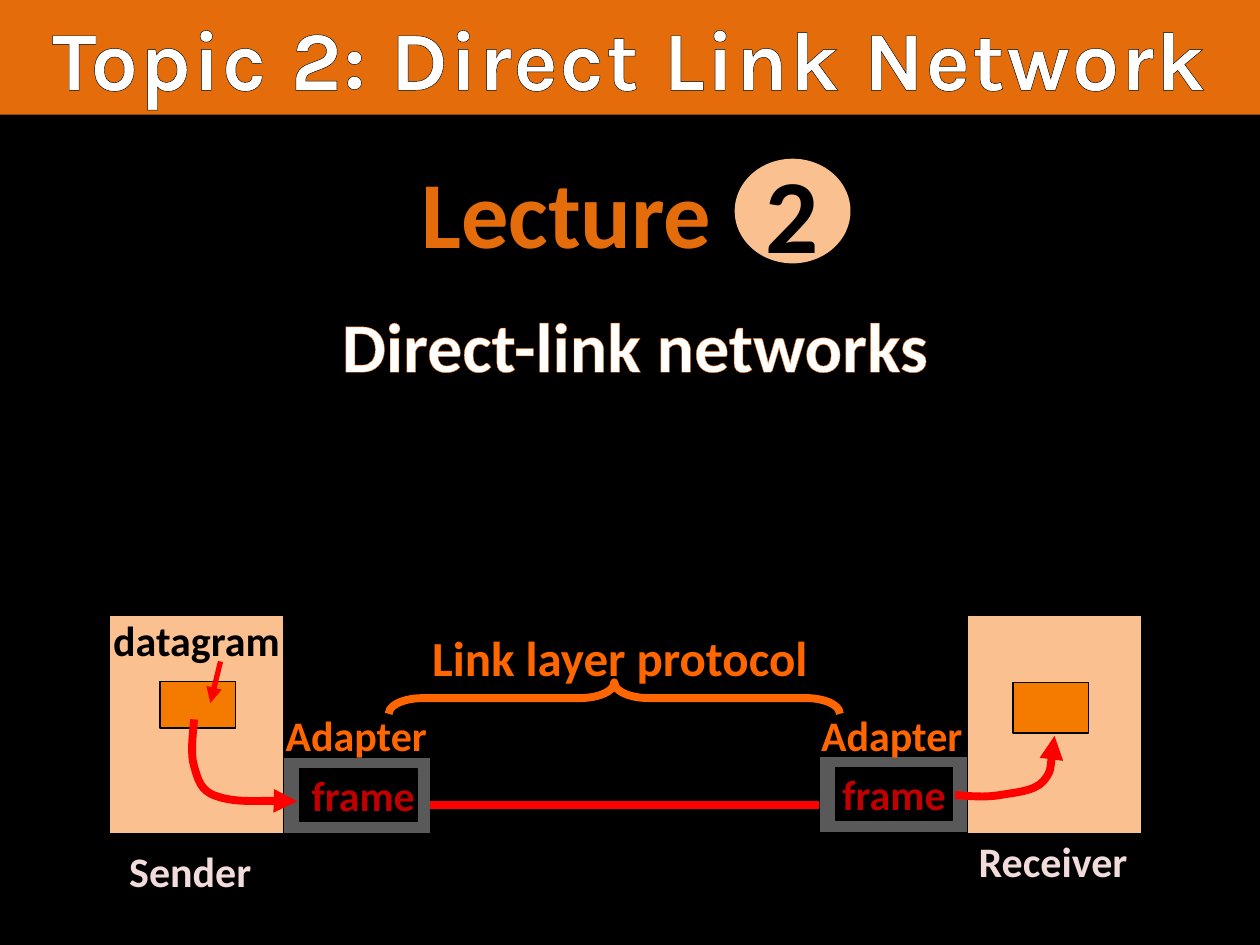
from dataclasses import dataclass

from lxml import etree
from pptx import Presentation
from pptx.dml.color import RGBColor
from pptx.enum.shapes import MSO_CONNECTOR, MSO_SHAPE
from pptx.enum.text import MSO_ANCHOR, MSO_AUTO_SIZE, PP_ALIGN
from pptx.oxml.ns import qn
from pptx.util import Pt

RECT, OVAL, BRACE = MSO_SHAPE.RECTANGLE, MSO_SHAPE.OVAL, MSO_SHAPE.LEFT_BRACE
LEFT, CENTER = PP_ALIGN.LEFT, PP_ALIGN.CENTER
TOP, MIDDLE = MSO_ANCHOR.TOP, MSO_ANCHOR.MIDDLE
STRAIGHT = MSO_CONNECTOR.STRAIGHT

BLACK, WHITE, RED, DARK_RED = "000000", "FFFFFF", "FF0000", "C00000"
ORANGE, LABEL_ORANGE, PACKET_ORANGE = "E46C0A", "FF6600", "F47A00"
PEACH, PINK, GRAY = "FAC090", "F2DCDB", "595959"


@dataclass
class Box:
    x: float
    y: float
    w: float
    h: float

    def lengths(self) -> list:
        return [Pt(v) for v in (self.x, self.y, self.w, self.h)]


@dataclass
class Label:
    text: str
    box: Box
    color: str
    size: float = 24
    align: PP_ALIGN = LEFT
    wrap: bool = False
    outline: str = ""


@dataclass
class Station:
    host: Box
    packet: Box
    adapter: Box
    frame: Box
    frame_text: str
    route: list


def rgb(color: str) -> RGBColor:
    return RGBColor.from_string(color)


def write(sp, text, color, size=24, font="Calibri", align=CENTER,
          anchor=MIDDLE, wrap=False, outline="", spacing=0):
    tf = sp.text_frame
    tf.auto_size = MSO_AUTO_SIZE.NONE
    tf.word_wrap = wrap
    tf.vertical_anchor = anchor
    p = tf.paragraphs[0]
    p.alignment = align
    r = p.add_run()
    r.text = text
    r.font.name, r.font.size, r.font.bold = font, Pt(size), True
    r.font.color.rgb = rgb(color)
    rpr = r._r.get_or_add_rPr()
    if spacing:
        rpr.set("spc", str(int(spacing * 100)))
    if outline:
        ln = etree.Element(qn("a:ln"), w=str(Pt(0.75)))
        fill = etree.SubElement(ln, qn("a:solidFill"))
        etree.SubElement(fill, qn("a:srgbClr"), val=outline)
        rpr.insert(0, ln)


def paint(sp, fill="", line="", width=0.75):
    sp.shadow.inherit = False
    if fill:
        sp.fill.solid()
        sp.fill.fore_color.rgb = rgb(fill)
    else:
        sp.fill.background()
    if line:
        sp.line.color.rgb = rgb(line)
        sp.line.width = Pt(width)
    else:
        sp.line.fill.background()


def add_box(s, box: Box, fill="", line="", width=0.75, kind=RECT):
    sp = s.shapes.add_shape(kind, *box.lengths())
    paint(sp, fill, line, width)
    return sp


def add_label(s, label: Label):
    sp = s.shapes.add_textbox(*label.box.lengths())
    write(sp, label.text, label.color, label.size, align=label.align,
          anchor=TOP, wrap=label.wrap, outline=label.outline)


def add_arrowhead(sp):
    etree.SubElement(sp.line._get_or_add_ln(), qn("a:tailEnd"), type="triangle")


def add_line(s, start, end, width, arrow=False):
    sp = s.shapes.add_connector(STRAIGHT, *[Pt(v) for v in (*start, *end)])
    sp.line.color.rgb = rgb(RED)
    sp.line.width = Pt(width)
    if arrow:
        add_arrowhead(sp)
    etree.SubElement(sp._element.spPr, qn("a:effectLst"))


def add_curved_arrow(s, points: list):
    """Draw cubic curves through a start point and triples of points."""
    start, *rest = [(Pt(x), Pt(y)) for x, y in points]
    builder = s.shapes.build_freeform(*start)
    builder.add_line_segments(rest, close=False)
    sp = builder.convert_to_shape()
    paint(sp, line=RED, width=4.5)
    add_arrowhead(sp)
    path = sp._element.find(".//" + qn("a:path"))
    segments = path.findall(qn("a:lnTo"))
    for i in range(0, len(segments), 3):
        curve = etree.SubElement(path, qn("a:cubicBezTo"))
        for segment in segments[i:i + 3]:
            curve.append(segment[0])
            path.remove(segment)


def add_station(s, st: Station):
    add_box(s, st.adapter, GRAY, BLACK)
    write(add_box(s, st.frame, BLACK, BLACK), st.frame_text, DARK_RED)
    add_box(s, st.host, PEACH, BLACK)
    add_box(s, st.packet, PACKET_ORANGE, BLACK)
    add_curved_arrow(s, st.route)


STATIONS = [
    Station(Box(62.6, 351.4, 99.4, 125.3), Box(91.4, 389.5, 43.2, 26.6),
            Box(161.3, 432.7, 85, 43.9), Box(171.4, 439.2, 67, 30.2), " frame",
            [(110.9, 411.1), (110.2, 420.5), (108.7, 430.6), (110.9, 437.8),
             (113, 445), (114.5, 452.2), (123.8, 455),
             (133.9, 458.6), (162.7, 457.2), (169.9, 457.9)]),
    Station(Box(553, 351.4, 99.4, 125.3), Box(578.9, 390.2, 43.2, 28.8),
            Box(468, 432, 85, 43.9), Box(477.4, 438.5, 67, 30.2), "frame",
            [(545.8, 454.3), (554.4, 455), (563, 455.8), (571.7, 454.3),
             (579.6, 452.9), (591.1, 452.2), (596.2, 446.4),
             (601.2, 440.6), (601.9, 424.8), (602.6, 420.5)]),
]

LABELS = [
    Label("Direct-link networks", Box(5.8, 169.2, 714.2, 55.4), WHITE, 40,
          CENTER, True, ORANGE),
    Label("Lecture", Box(5.8, 84.2, 635.8, 72.7), ORANGE, 54, CENTER, True),
    Label("Sender", Box(66.2, 479.5, 85, 36), PINK, align=CENTER),
    Label("Receiver", Box(552.2, 473.8, 100, 36), PINK),
    Label("datagram", Box(57.6, 347.8, 110.9, 36), BLACK),
    Label("Adapter", Box(156.2, 401.8, 95.8, 36), LABEL_ORANGE),
    Label("Adapter", Box(462.2, 401.8, 95.8, 36), LABEL_ORANGE),
    Label("Link layer protocol", Box(239.8, 355, 231.8, 41), LABEL_ORANGE, 28),
]


def main():
    prs = Presentation()
    prs.slide_width, prs.slide_height = Pt(720), Pt(540)
    s = prs.slides.add_slide(prs.slide_layouts[5])
    s.background.fill.solid()
    s.background.fill.fore_color.rgb = rgb(BLACK)

    title = s.shapes.title
    title.left, title.top, title.width, title.height = Box(0, 0, 720, 65.5).lengths()
    title.fill.solid()
    title.fill.fore_color.rgb = rgb(ORANGE)
    write(title, "Topic 2: Direct Link Network", WHITE, 48, "Karla",
          anchor=TOP, wrap=True, outline=BLACK, spacing=1)

    number = add_box(s, Box(419.8, 90.7, 66.2, 59.8), PEACH, kind=OVAL)
    write(number, "2", BLACK, 60, wrap=True)

    for station in STATIONS:
        add_station(s, station)
    add_line(s, (245.5, 460.1), (468, 460.1), 4.5)
    for label in LABELS:
        add_label(s, label)
    add_line(s, (126, 378), (120.2, 401.8), 3, arrow=True)

    brace = add_box(s, Box(342, 270, 18, 257.8), line=LABEL_ORANGE, width=4.5,
                    kind=BRACE)
    brace.rotation = 90
    brace.adjustments[0] = 1.08

    prs.save("out.pptx")


if __name__ == "__main__":
    main()
